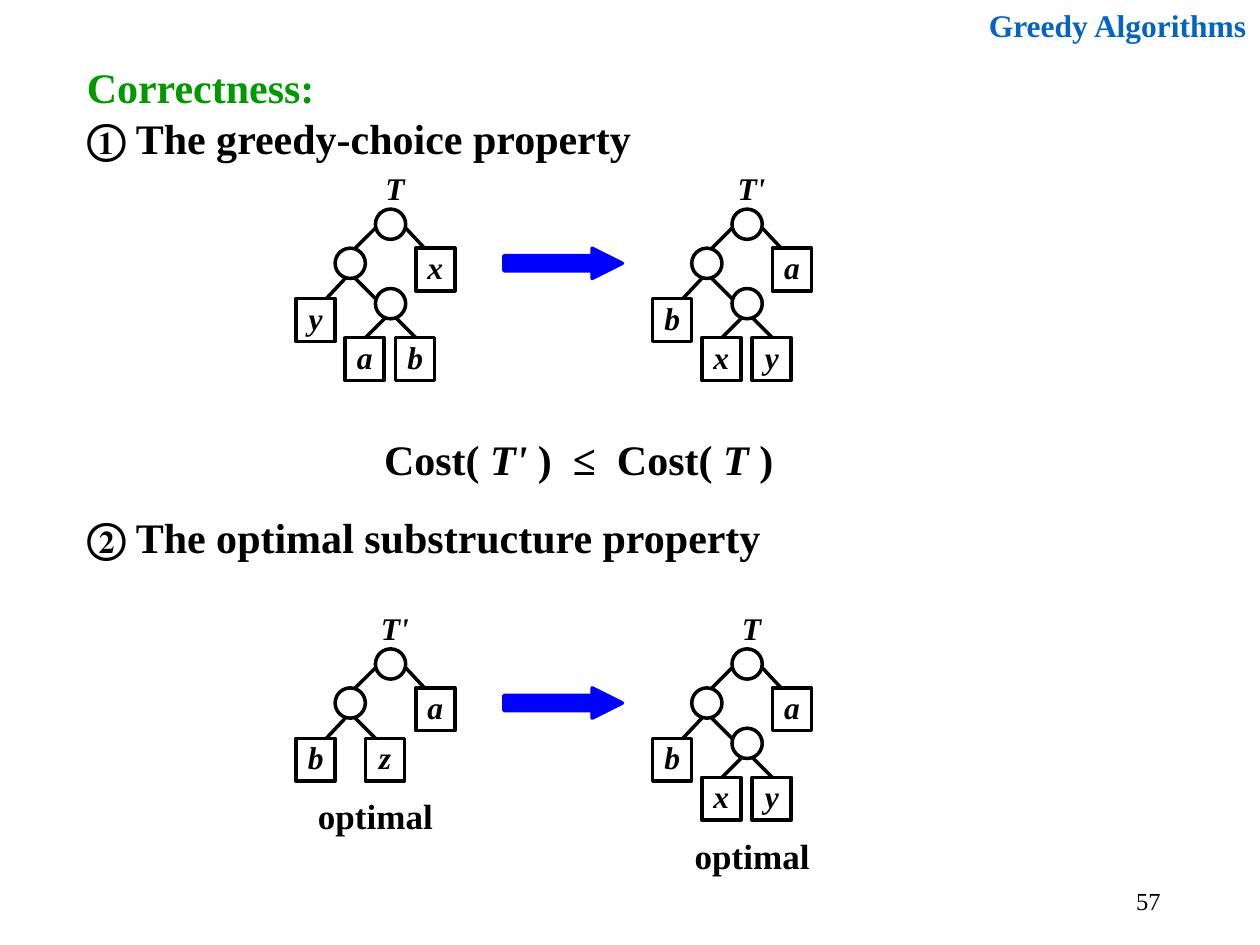
"""Build the slide on the correctness of greedy Huffman coding."""
import lxml.etree
import pptx
import pptx.dml.color
import pptx.enum.shapes
import pptx.enum.text
import pptx.oxml.ns
import pptx.util

Inches = pptx.util.Inches
SHAPES = pptx.enum.shapes.MSO_SHAPE
ALIGN = pptx.enum.text.PP_ALIGN
ANCHOR = pptx.enum.text.MSO_ANCHOR
BLACK, BLUE = "000000", "0000FF"


def paint(target, color):
    """Give a font, fill or line a solid colour."""
    fill = target if hasattr(target, "solid") else target.fill
    fill.solid()
    fill.fore_color.rgb = pptx.dml.color.RGBColor.from_string(color)


def write(shape, paragraphs, size, align=ALIGN.LEFT, bold=True, margins=(0.1, 0.05, 0.1, 0.05), anchor=ANCHOR.TOP):
    """Fill a shape with paragraphs of (text, italic, colour) runs."""
    frame = shape.text_frame
    left, top, right, bottom = map(Inches, margins)
    layout = {"word_wrap": True, "vertical_anchor": anchor, "margin_left": left,
              "margin_top": top, "margin_right": right, "margin_bottom": bottom}
    for name, value in layout.items():
        setattr(frame, name, value)
    for index, runs in enumerate(paragraphs):
        para = frame.add_paragraph() if index else frame.paragraphs[0]
        para.alignment = align
        for text, italic, color in runs:
            span = para.add_run()
            span.text = text
            style = {"name": "Times New Roman", "size": pptx.util.Pt(size), "bold": bold, "italic": italic}
            for name, value in style.items():
                setattr(span.font, name, value)
            paint(span.font, color)


deck = pptx.Presentation()
deck.slide_width, deck.slide_height = Inches(10), Inches(7.5)
page = deck.slides.add_slide(deck.slide_layouts[6])

texts = [
    ((7.06, 6.95, 2.25, 0.4), [[("57", False, BLACK)]], 14,
     {"align": ALIGN.RIGHT, "bold": False, "anchor": ANCHOR.MIDDLE}),
    ((7.52, 0, 2.47, 0.4), [[("Greedy Algorithms", False, "0563C1")]], 18, {"align": ALIGN.RIGHT}),
    ((0.59, 0.44, 8.25, 0.9),
     [[("Correctness:", False, "009900")], [("① The greedy-choice property", False, BLACK)]], 24, {}),
    ((2.9, 3.39, 3.47, 0.5),
     [[("Cost( ", False, BLACK), ("T'", True, BLACK), (" )  ≤  Cost( ", False, BLACK),
       ("T ", True, BLACK), (") ", False, BLACK)]], 24, {"align": ALIGN.CENTER}),
    ((0.59, 4.01, 5.99, 0.5), [[("② The optimal substructure property", False, BLACK)]], 24, {}),
    ((2.35, 6.26, 1.26, 0.43), [[("optimal", False, BLACK)]], 20, {"align": ALIGN.CENTER}),
    ((5.34, 6.57, 1.26, 0.43), [[("optimal", False, BLACK)]], 20, {"align": ALIGN.CENTER}),
]
for place, paragraphs, size, options in texts:
    write(page.shapes.add_textbox(*map(Inches, place)), paragraphs, size, **options)

node_places = [(0, 0), (-0.32, 0.31), (0, 0.63)]
branch_places = [
    (0, 0.15, -0.16, 0.31), (0.24, 0.15, 0.39, 0.31),
    (-0.24, 0.55, -0.39, 0.71), (-0.16, 0.55, 0, 0.71),
    (0.08, 0.86, -0.08, 1.02), (0.16, 0.86, 0.32, 1.02),
]
full_leaves = [(-0.63, 0.71), (0.32, 0.31), (-0.24, 1.02), (0.16, 1.02)]
short_leaves = [(-0.63, 0.71), (0.32, 0.31), (-0.08, 0.71)]
left_root, right_root, upper_root, lower_root = 2.98, 5.81, 1.66, 5.15
trees = [
    (left_root, upper_root, "T", "yxab", full_leaves),
    (right_root, upper_root, "T'", "baxy", full_leaves),
    (left_root, lower_root, "T'", "baz", short_leaves),
    (right_root, lower_root, "T", "baxy", full_leaves),
]
letter_style = {"align": ALIGN.CENTER, "margins": (0.02, 0, 0.02, 0.01)}

for root_x, root_y, label, letters, leaf_places in trees:
    is_full = leaf_places is full_leaves
    outlines = []
    for x, y in node_places if is_full else node_places[:2]:
        outlines.append(page.shapes.add_shape(
            SHAPES.OVAL, Inches(root_x + x), Inches(root_y + y), Inches(0.24), Inches(0.24)))
    for letter, (x, y) in zip(letters, leaf_places):
        leaf = page.shapes.add_shape(
            SHAPES.RECTANGLE, Inches(root_x + x), Inches(root_y + y), Inches(0.31), Inches(0.34))
        write(leaf, [[(letter, True, BLACK)]], 18, **letter_style)
        outlines.append(leaf)
    for outline in outlines:
        outline.shadow.inherit = False
        outline.fill.background()
    for x1, y1, x2, y2 in branch_places if is_full else branch_places[:4]:
        branch = page.shapes.add_connector(
            pptx.enum.shapes.MSO_CONNECTOR.STRAIGHT, Inches(root_x + x1), Inches(root_y + y1),
            Inches(root_x + x2), Inches(root_y + y2))
        lxml.etree.SubElement(branch._element.spPr, pptx.oxml.ns.qn("a:effectLst"))
        outlines.append(branch)
    for outline in outlines:
        paint(outline.line, BLACK)
        outline.line.width = pptx.util.Pt(2)
    name_box = page.shapes.add_textbox(
        Inches(root_x - 0.08), Inches(root_y - 0.32), Inches(0.47), Inches(0.31))
    write(name_box, [[(label, True, BLACK)]], 18, **letter_style)

for root_y in (upper_root, lower_root):
    arrow = page.shapes.add_shape(
        SHAPES.RIGHT_ARROW, Inches(4), Inches(root_y + 0.31), Inches(0.94), Inches(0.24))
    arrow.adjustments[0], arrow.adjustments[1] = 0.5, 1
    arrow.shadow.inherit = False
    paint(arrow.fill, BLUE)
    paint(arrow.line, BLUE)
    arrow.line.width = pptx.util.Pt(2)

deck.save("out.pptx")
